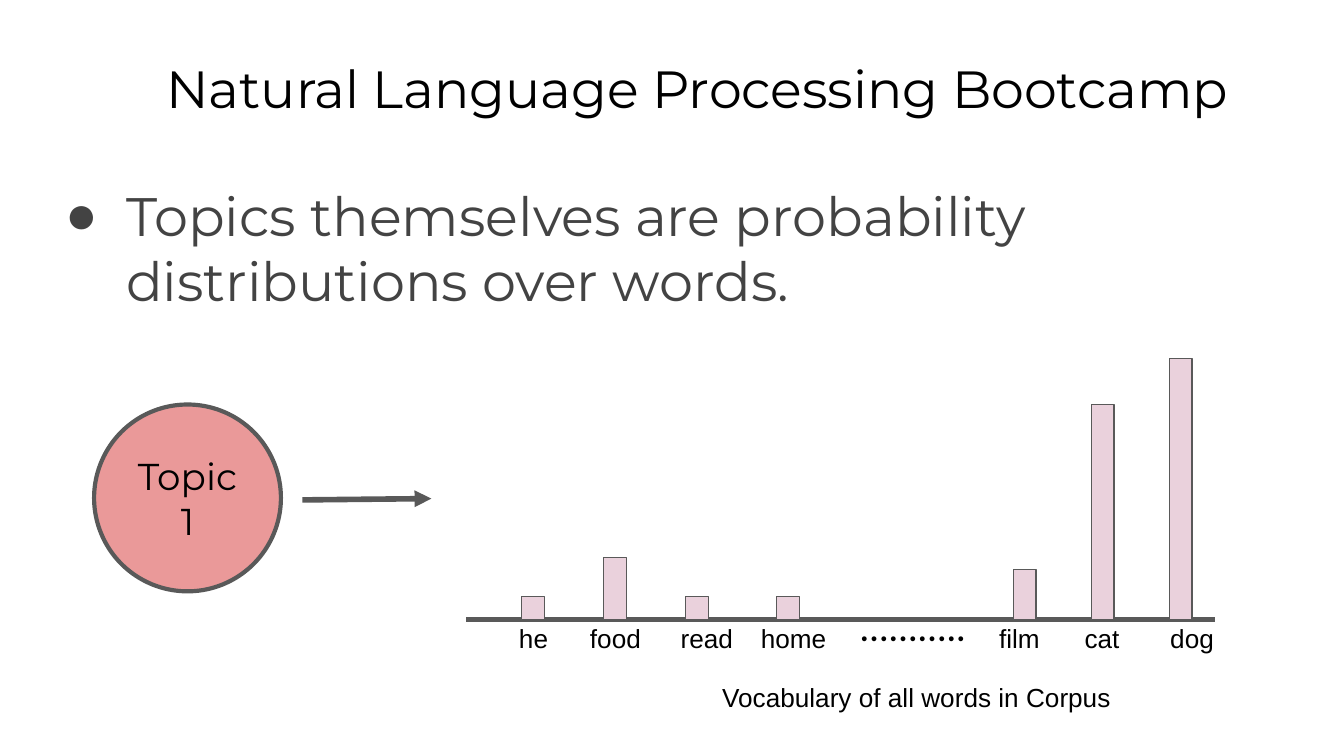
from lxml import etree
from pptx import Presentation
from pptx.dml.color import RGBColor
from pptx.enum.shapes import MSO_CONNECTOR, MSO_SHAPE
from pptx.enum.text import MSO_ANCHOR, PP_ALIGN
from pptx.oxml.ns import qn
from pptx.util import Inches, Pt

LEFT, CENTER = PP_ALIGN.LEFT, PP_ALIGN.CENTER
TOP, MIDDLE = MSO_ANCHOR.TOP, MSO_ANCHOR.MIDDLE
OVAL, RECTANGLE = MSO_SHAPE.OVAL, MSO_SHAPE.RECTANGLE
STRAIGHT = MSO_CONNECTOR.STRAIGHT

BLACK = RGBColor(0x00, 0x00, 0x00)
DARK_GRAY = RGBColor(0x43, 0x43, 0x43)
LINE_GRAY = RGBColor(0x59, 0x59, 0x59)
TOPIC_RED = RGBColor(0xEA, 0x99, 0x99)
BAR_PINK = RGBColor(0xEA, 0xD1, 0xDC)

TITLE = "Natural Language Processing Bootcamp"
STATEMENT = "Topics themselves are probability distributions over words."
TOPIC = "Topic 1"
CAPTION = "Vocabulary of all words in Corpus"
ELLIPSIS = "……….."

# word, label left, label width, bar left, bar height
WORDS = [
    ("he", 3.75, 0.44, 3.88, 0.17),
    ("food", 4.28, 0.60, 4.49, 0.46),
    ("read", 4.96, 0.60, 5.10, 0.17),
    ("home", 5.56, 0.69, 5.78, 0.17),
    ("film", 7.33, 0.51, 7.54, 0.37),
    ("cat", 7.90, 0.60, 8.12, 1.60),
    ("dog", 8.57, 0.60, 8.70, 1.94),
]
BASELINE, BAR_WIDTH = 4.61, 0.17
LABEL_TOP, LABEL_HEIGHT = 4.53, 0.37

TITLE_FONT = {"name": "Montserrat", "size": Pt(28)}
STATEMENT_FONT = {"name": "Montserrat", "size": Pt(29)}
TOPIC_FONT = {"name": "Montserrat", "size": Pt(20)}
ELLIPSIS_FONT = {"name": "Montserrat", "size": Pt(24)}
LABEL_FONT = {"name": "Arial", "size": Pt(14)}


def write(shape, text, font, color=BLACK, align=CENTER, anchor=TOP, wrap=True):
    """Put one formatted paragraph in a shape and return it."""
    frame = shape.text_frame
    settings = {"word_wrap": wrap, "vertical_anchor": anchor}
    for side in ("left", "top", "right", "bottom"):
        settings[f"margin_{side}"] = Inches(0.1)
    for name, value in settings.items():
        setattr(frame, name, value)
    para = frame.paragraphs[0]
    para.alignment = align
    span = para.add_run()
    span.text = text
    for name, value in font.items():
        setattr(span.font, name, value)
    span.font.color.rgb = color
    return para


def add_text(slide, place, text, font, **options):
    """Add a text box holding one paragraph and return the paragraph."""
    box = slide.shapes.add_textbox(*map(Inches, place))
    return write(box, text, font, **options)


def add_bullet(para, color):
    """Give a paragraph a hanging round bullet."""
    properties = para._p.get_or_add_pPr()
    properties.set("marL", str(Inches(0.5)))
    properties.set("indent", str(Inches(-0.45)))
    bullet_color = etree.SubElement(properties, qn("a:buClr"))
    etree.SubElement(bullet_color, qn("a:srgbClr"), val=str(color))
    etree.SubElement(properties, qn("a:buFont"), typeface="Arial")
    etree.SubElement(properties, qn("a:buChar"), char="●")


def add_outlined(slide, kind, place, fill, weight):
    """Add a filled preset shape with a gray outline."""
    shape = slide.shapes.add_shape(kind, *map(Inches, place))
    shape.shadow.inherit = False
    shape.fill.solid()
    shape.fill.fore_color.rgb = fill
    shape.line.color.rgb = LINE_GRAY
    shape.line.width = Pt(weight)
    return shape


def add_line(slide, ends, weight, arrow=False):
    """Add a straight gray line, with an arrowhead at its end if asked."""
    line = slide.shapes.add_connector(STRAIGHT, *map(Inches, ends))
    line.line.color.rgb = LINE_GRAY
    line.line.width = Pt(weight)
    if arrow:
        etree.SubElement(line.line._get_or_add_ln(), qn("a:tailEnd"), type="triangle")
    etree.SubElement(line._element.spPr, qn("a:effectLst"))


def add_distribution(slide):
    """Draw the axis, and a bar and a label for each word."""
    add_line(slide, (3.47, BASELINE, 9.04, BASELINE), 2.25)
    for word, label_left, label_width, bar_left, height in WORDS:
        bar_place = (bar_left, BASELINE - height, BAR_WIDTH, height)
        add_outlined(slide, RECTANGLE, bar_place, BAR_PINK, 0.75)
        label_place = (label_left, LABEL_TOP, label_width, LABEL_HEIGHT)
        add_text(slide, label_place, word, LABEL_FONT, wrap=False)
    add_text(slide, (6.25, 4.34, 1.08, 0.37), ELLIPSIS, ELLIPSIS_FONT, wrap=False)
    add_text(slide, (5.15, 4.97, 3.34, 0.37), CAPTION, LABEL_FONT)


def main():
    """Build the slide and save the deck."""
    deck = Presentation()
    deck.slide_width = Inches(10)
    deck.slide_height = deck.slide_width * 9 // 16
    page = deck.slides.add_slide(deck.slide_layouts[6])

    add_text(page, (1.14, 0.32, 8.52, 0.63), TITLE, TITLE_FONT, align=LEFT)
    statement = add_text(page, (0.34, 1.26, 9.5, 3.74), STATEMENT, STATEMENT_FONT,
                         color=DARK_GRAY, align=LEFT)
    add_bullet(statement, DARK_GRAY)

    topic = add_outlined(page, OVAL, (0.7, 3.01, 1.39, 1.39), TOPIC_RED, 2.25)
    write(topic, TOPIC, TOPIC_FONT, anchor=MIDDLE)
    add_distribution(page)
    add_line(page, (2.25, 3.72, 3.21, 3.71), 3, arrow=True)
    deck.save("out.pptx")


main()
